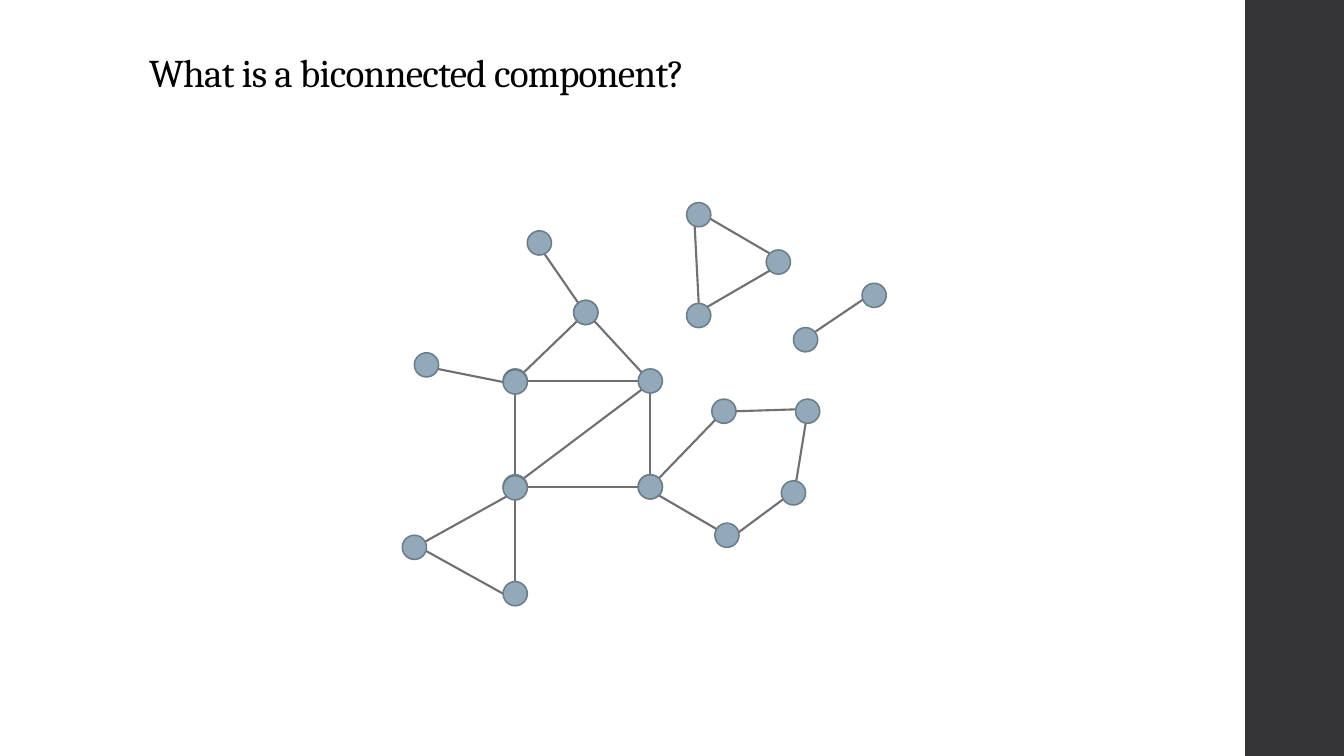
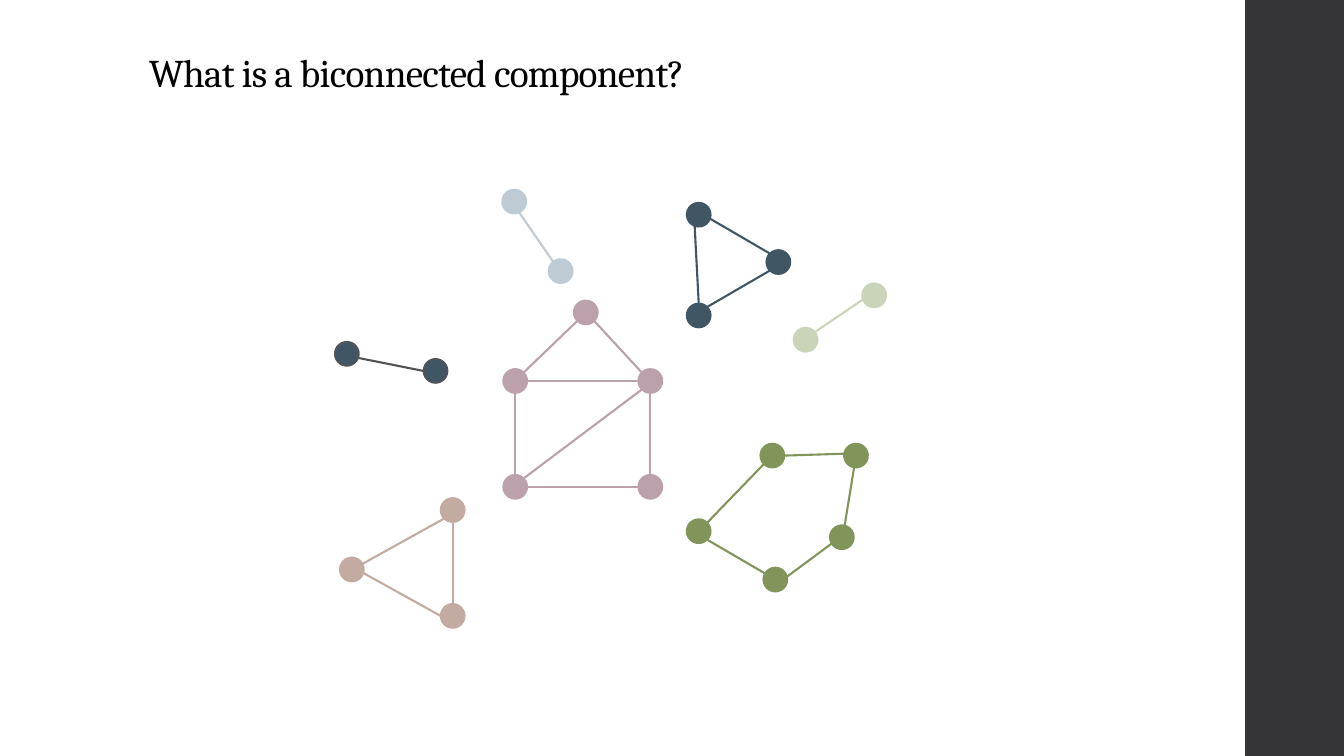
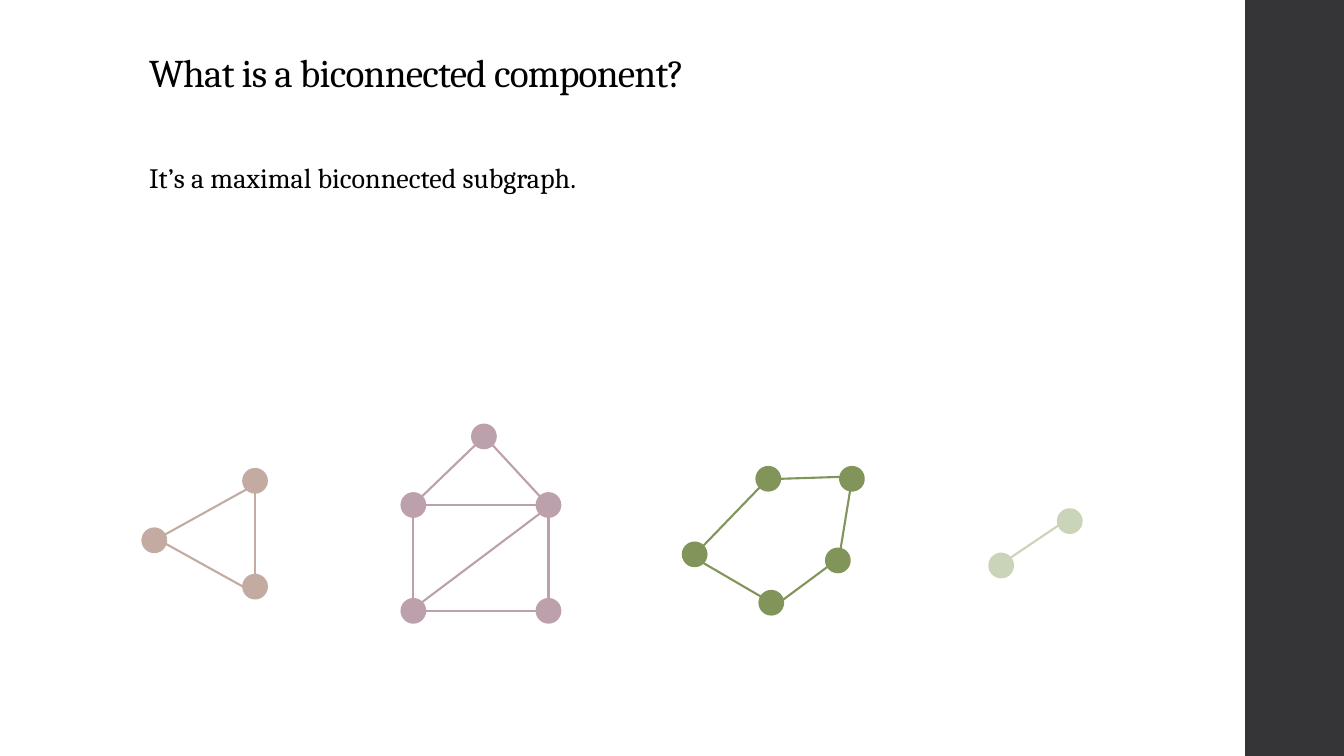
import math

import pptx
import pptx.dml.color
import pptx.enum.shapes
import pptx.enum.text
import pptx.oxml.ns
import pptx.util
from lxml import etree

Inches, Pt = pptx.util.Inches, pptx.util.Pt
SLIDE_W, SLIDE_H = 13.33, 7.5
TITLE = "What is a biconnected component?"

# Compass points on a node's rim, in degrees clockwise from the right
RIM = {d: 45 * i for i, d in enumerate(("E", "SE", "S", "SW", "W", "NW", "N", "NE"))}

# Each component: nodes as (dx, dy, rotation), edges as "node rim node rim"
HOUSE = (
    {"tl": (0, 0, 0), "tr": (1.34, 0, 0), "bl": (0, 1.05, 0),
     "br": (1.34, 1.05, 0), "roof": (0.7, -0.68, 0)},
    ["tl NE roof SW", "tr NW roof SE", "tr S br N", "bl E br W",
     "bl N tl S", "tl E tr W", "bl NE tr SW"])
RIGHT_TRIANGLE = (
    {"top": (0, 0, -25.5), "right": (0.79, 0.47, 0), "bottom": (0, 1, 0)},
    ["right SW bottom NE", "right NW top SE", "bottom N top SW"])
LEFT_TRIANGLE = (
    {"bottom": (0, 0, 0), "left": (-1, -0.46, 17), "top": (0, -1.05, 0)},
    ["bottom N top S", "bottom W left E", "top SW left NE"])
PENTAGON = (
    {"start": (0, 0, 0), "low": (0.76, 0.48, 30.8), "top": (0.73, -0.75, 0),
     "right": (1.42, 0.06, 13.3), "far": (1.56, -0.75, 54)},
    ["low W start SE", "top SW start NE", "right SW low NE",
     "far SE right N", "far SW top E"])
RIGHT_PAIR = ({"low": (0, 0, 50.3), "high": (0.68, -0.44, 69.1)}, ["low N high S"])
TOP_PAIR = ({"high": (0, 0, -24.8), "low": (0.46, 0.69, 6.7)}, ["high S low NW"])
LEFT_PAIR = ({"right": (0, 0, 0), "left": (-0.88, -0.17, 19.9)}, ["right W left E"])


def rgb(value):
    return pptx.dml.color.RGBColor.from_string(value)


class Deck:
    font = "Cambria"
    ink, band = "000000", "353537"
    node_size, node_line, edge_line = 0.24, 1.1, 1.5

    def __init__(self):
        self.prs = pptx.Presentation()
        self.prs.slide_width = Inches(SLIDE_W)
        self.prs.slide_height = Inches(SLIDE_H)
        self.s = None

    def slide(self, title):
        self.s = self.prs.slides.add_slide(self.prs.slide_layouts[6])
        self.shape("RECTANGLE", 12.35, 0, SLIDE_W - 12.35, SLIDE_H, self.band)
        tf, p, r = self.text(title, 1.38, 0.4, 10.6, 0.6, 28)
        tf.vertical_anchor = pptx.enum.text.MSO_ANCHOR.BOTTOM
        p.line_spacing = 0.9
        r.font._element.set("spc", "-50")

    def shape(self, kind, x, y, w, h, fill, line=None):
        preset = getattr(pptx.enum.shapes.MSO_SHAPE, kind)
        sp = self.s.shapes.add_shape(preset, Inches(x), Inches(y), Inches(w), Inches(h))
        sp.shadow.inherit = False
        sp.fill.solid()
        sp.fill.fore_color.rgb = rgb(fill)
        if line:
            sp.line.color.rgb = rgb(line)
            sp.line.width = Pt(self.node_line)
        else:
            sp.line.fill.background()
        return sp

    def text(self, words, x, y, w, h, size):
        tf = self.s.shapes.add_textbox(Inches(x), Inches(y), Inches(w), Inches(h)).text_frame
        tf.word_wrap = True
        p = tf.paragraphs[0]
        r = p.add_run()
        r.text = words
        for name, value in {"name": self.font, "size": Pt(size)}.items():
            setattr(r.font, name, value)
        r.font.color.rgb = rgb(self.ink)
        return tf, p, r

    def edge(self, start, end, color):
        ends = [Inches(v) for v in (*start, *end)]
        c = self.s.shapes.add_connector(pptx.enum.shapes.MSO_CONNECTOR.STRAIGHT, *ends)
        c.line.color.rgb = rgb(color)
        c.line.width = Pt(self.edge_line)
        etree.SubElement(c._element.spPr, pptx.oxml.ns.qn("a:effectLst"))

    def component(self, graph, x, y, fill, line=None, edge=None):
        nodes, edges = graph
        line = line or fill
        radius = self.node_size / 2

        def rim(node, side):
            dx, dy, turn = nodes[node]
            angle = math.radians(RIM[side] + turn)
            return (x + dx + radius * (1 + math.cos(angle)),
                    y + dy + radius * (1 + math.sin(angle)))

        for a, side_a, b, side_b in map(str.split, edges):
            self.edge(rim(a, side_a), rim(b, side_b), edge or line)
        for dx, dy, turn in nodes.values():
            sp = self.shape("FLOWCHART_CONNECTOR", x + dx, y + dy,
                            self.node_size, self.node_size, fill, line)
            sp.rotation = turn


def main():
    deck = Deck()

    # Slide 1: the whole graph in one colour
    deck.slide(TITLE)
    for graph, x, y in [
        (RIGHT_TRIANGLE, 6.81, 2.01), (RIGHT_PAIR, 7.87, 3.25),
        (TOP_PAIR, 5.23, 2.29), (HOUSE, 4.99, 3.66),
        (LEFT_TRIANGLE, 4.99, 5.77), (PENTAGON, 6.33, 4.71),
        (LEFT_PAIR, 4.99, 3.67),
    ]:
        deck.component(graph, x, y, "92A9B9", "6C7D89", "6F6F74")

    # Colours of the separated components
    mauve, tan, green, pale = "BCA0AB", "C3ABA1", "81955B", "CAD4B8"
    navy, sky, grey = "415665", "BECBD5", "535357"

    # Slide 2: the components pulled apart
    deck.slide(TITLE)
    for graph, x, y, color in [
        (RIGHT_TRIANGLE, 6.81, 2.01, navy), (RIGHT_PAIR, 7.87, 3.25, pale),
        (TOP_PAIR, 4.98, 1.88, sky), (HOUSE, 4.99, 3.66, mauve),
        (LEFT_TRIANGLE, 4.37, 5.99, tan), (PENTAGON, 6.81, 5.15, green),
    ]:
        deck.component(graph, x, y, color)
    deck.component(LEFT_PAIR, 4.2, 3.56, navy, grey)

    # Slide 3: the definition with four examples
    deck.slide(TITLE)
    for graph, x, y, color in [
        (HOUSE, 3.98, 4.89, mauve), (RIGHT_PAIR, 9.81, 5.49, pale),
        (LEFT_TRIANGLE, 2.41, 5.7, tan), (PENTAGON, 6.77, 5.38, green),
    ]:
        deck.component(graph, x, y, color)
    tf, p, r = deck.text("It’s a maximal biconnected subgraph.", 1.38, 1.54, 9.92, 0.44, 20)
    tf.auto_size = pptx.enum.text.MSO_AUTO_SIZE.SHAPE_TO_FIT_TEXT

    deck.prs.save("out.pptx")


if __name__ == "__main__":
    main()
